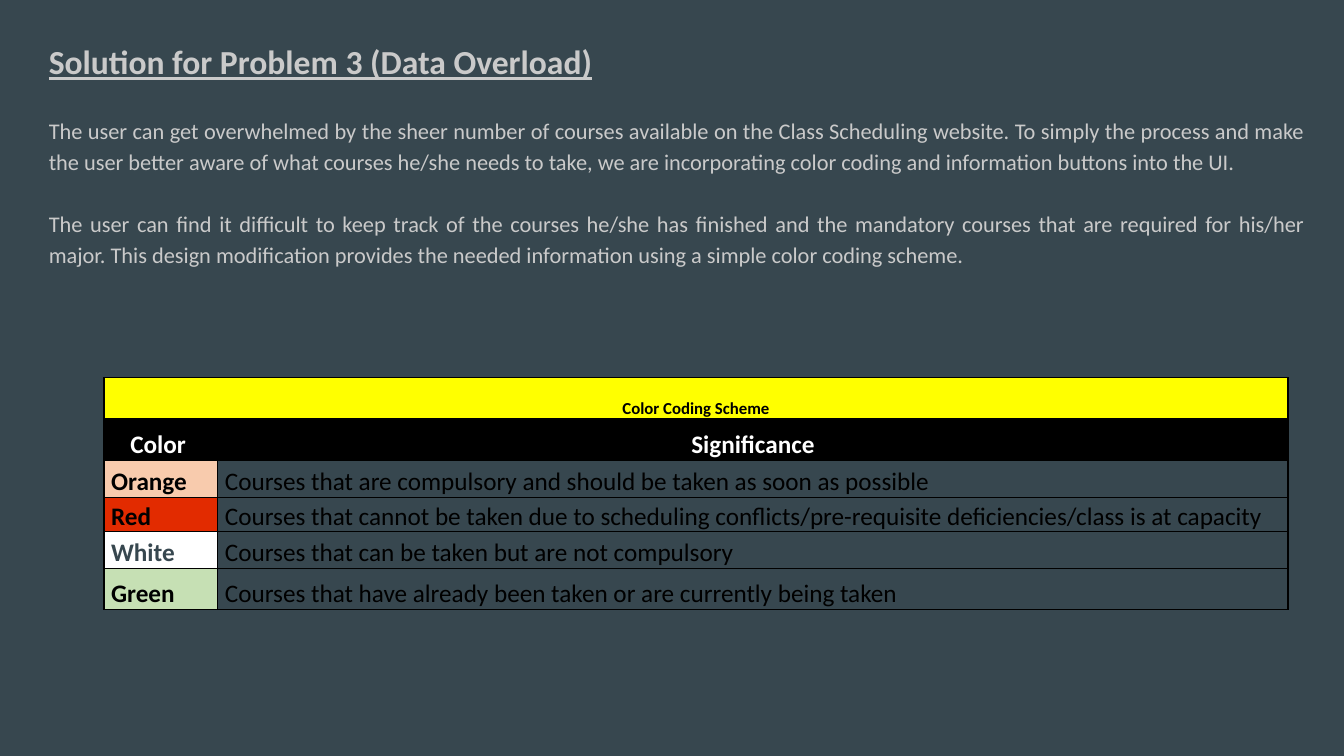
import pptx
import pptx.dml.color
import pptx.enum.text
import pptx.oxml
import pptx.oxml.ns
import pptx.util
from pptx.util import Cm, Pt

# Content
HEADING = "Solution for Problem 3 (Data Overload)"
BODY = [
    "The user can get overwhelmed by the sheer number of courses available on the "
    "Class Scheduling website. To simply the process and make the user better aware "
    "of what courses he/she needs to take, we are incorporating color coding and "
    "information buttons into the UI.",
    "The user can find it difficult to keep track of the courses he/she has finished "
    "and the mandatory courses that are required for his/her major. This design "
    "modification provides the needed information using a simple color coding scheme.",
]
TABLE_TITLE = "Color Coding Scheme"
TABLE_HEADER = ("Color ", "Significance")
# Name, significance, fill colour, name colour
SCHEME = [
    ("Orange", "Courses that are compulsory and should be taken as soon as possible",
     "orange", "black"),
    ("Red", "Courses that cannot be taken due to scheduling conflicts/pre-requisite "
     "deficiencies/class is at capacity", "red", "black"),
    ("White", "Courses that can be taken but are not compulsory", "white", "slate"),
    ("Green", "Courses that have already been taken or are currently being taken",
     "green", "black"),
]

# Style
COLORS = {
    "slate": "37474F", "gray": "CACACA", "black": "000000", "white": "FFFFFF",
    "yellow": "FFFF00", "orange": "F8CBAD", "red": "E22B00", "green": "C6E0B4",
}
FONT = "Calibri"
COLUMN_WIDTHS = [2.87, 26.97]
ROW_HEIGHTS = [1.04, 1.04, 0.94, 0.86, 0.92, 1.04]
ALIGN = pptx.enum.text.PP_ALIGN


def rgb(name):
    return pptx.dml.color.RGBColor.from_string(COLORS[name])


def format_paragraph(paragraph, size, color, bold, align, spacing):
    paragraph.alignment = align
    paragraph.line_spacing = spacing
    for run in paragraph.runs:
        run.font.name = FONT
        run.font.size = Pt(size)
        run.font.bold = bold
        run.font.color.rgb = rgb(color)


def add_borders(cell):
    properties = cell._tc.get_or_add_tcPr()
    for side in ("lnL", "lnR", "lnT", "lnB"):
        properties.append(pptx.oxml.parse_xml(
            f'<a:{side} {pptx.oxml.ns.nsdecls("a")} w="{Pt(1)}"><a:solidFill>'
            f'<a:srgbClr val="{COLORS["black"]}"/></a:solidFill></a:{side}>'))


def fill_cell(cell, text, fill=None, color="black", size=18, bold=True, align=ALIGN.LEFT):
    cell.text_frame.text = text
    format_paragraph(cell.text_frame.paragraphs[0], size, color, bold, align, 1.07)
    cell.vertical_anchor = pptx.enum.text.MSO_ANCHOR.BOTTOM
    cell.margin_left = cell.margin_right = Cm(0.18)
    cell.margin_top = cell.margin_bottom = 0
    if fill:
        cell.fill.solid()
        cell.fill.fore_color.rgb = rgb(fill)
    else:
        cell.fill.background()


def add_explanation(slide):
    box = slide.shapes.add_textbox(Cm(0.69), Cm(0.56), Cm(32.54), Cm(17.8))
    frame = box.text_frame
    frame.word_wrap = True
    frame.margin_left = Cm(0.54)
    frame.margin_right = frame.margin_top = frame.margin_bottom = Cm(0.33)
    frame.text = HEADING
    heading = frame.paragraphs[0]
    format_paragraph(heading, 24, "gray", True, ALIGN.LEFT, 1.15)
    heading.runs[0].font.underline = True
    for text in BODY:
        paragraph = frame.add_paragraph()
        paragraph.text = text
        paragraph.space_before = Pt(22.4)
        format_paragraph(paragraph, 16, "gray", False, ALIGN.JUSTIFY, 1.15)


def add_scheme_table(slide):
    table = slide.shapes.add_table(
        len(ROW_HEIGHTS), len(COLUMN_WIDTHS), Cm(2.62), Cm(9.52),
        Cm(sum(COLUMN_WIDTHS)), Cm(sum(ROW_HEIGHTS))).table
    table.first_row = table.horz_banding = False
    for column, width in zip(table.columns, COLUMN_WIDTHS):
        column.width = Cm(width)
    for row, height in zip(table.rows, ROW_HEIGHTS):
        row.height = Cm(height)
    for cell in table.iter_cells():
        add_borders(cell)

    # Title and header rows
    table.cell(0, 0).merge(table.cell(0, 1))
    fill_cell(table.cell(0, 0), TABLE_TITLE, "yellow", size=12, align=ALIGN.CENTER)
    for column, label in enumerate(TABLE_HEADER):
        fill_cell(table.cell(1, column), label, "black", "white", align=ALIGN.CENTER)

    # One row per colour
    for row, (name, significance, fill, color) in enumerate(SCHEME, start=2):
        fill_cell(table.cell(row, 0), name, fill, color)
        fill_cell(table.cell(row, 1), significance, bold=False)


def main():
    presentation = pptx.Presentation()
    presentation.slide_width = Cm(33.87)
    presentation.slide_height = Cm(19.05)
    slide = presentation.slides.add_slide(presentation.slide_layouts[6])
    slide.background.fill.solid()
    slide.background.fill.fore_color.rgb = rgb("slate")
    add_explanation(slide)
    add_scheme_table(slide)
    presentation.save("out.pptx")


if __name__ == "__main__":
    main()
